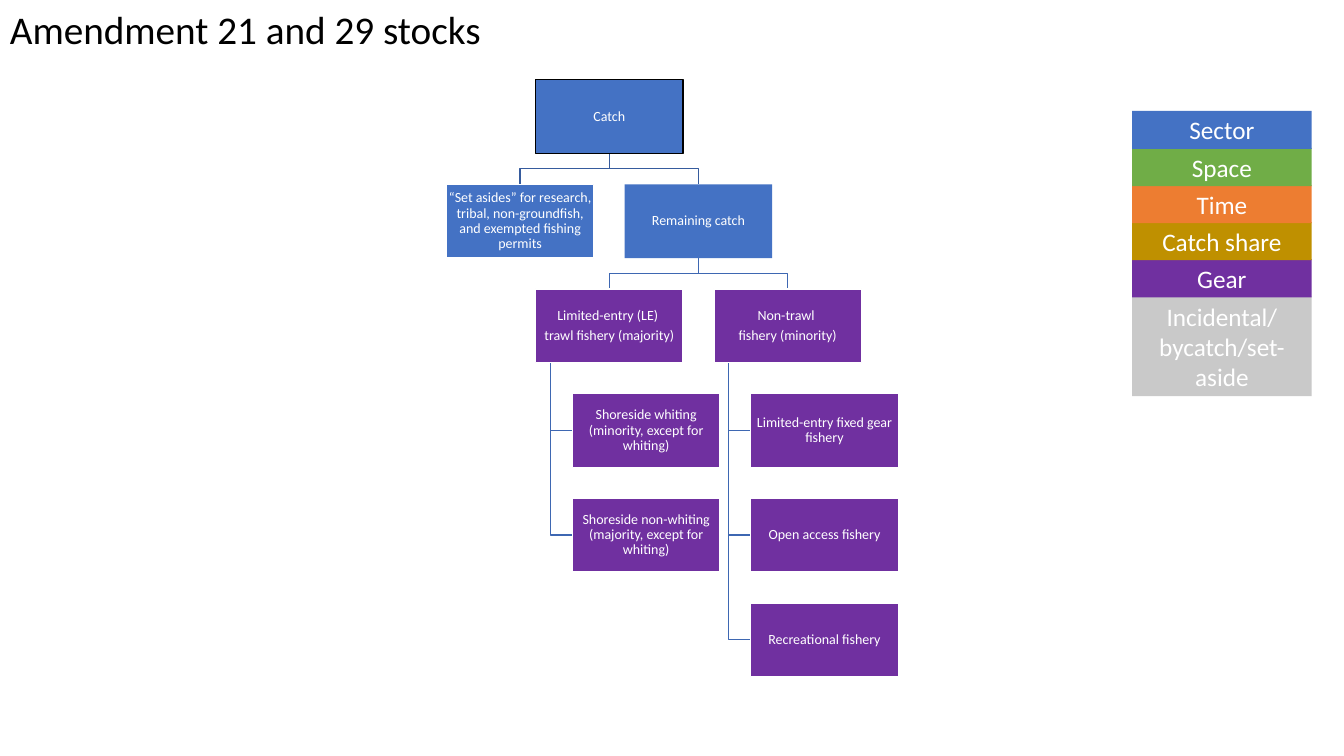
from dataclasses import dataclass
from typing import Optional

import pptx
import pptx.dml.color
import pptx.enum.shapes
import pptx.enum.text
import pptx.util

Pt = pptx.util.Pt


@dataclass(frozen=True)
class Theme:
    font: str = "Calibri"
    title_size: float = 28
    legend_size: float = 18
    box_size: float = 10
    black: str = "000000"
    white: str = "FFFFFF"
    sector: str = "4472C4"
    space: str = "70AD47"
    time: str = "ED7D31"
    share: str = "BF9000"
    gear: str = "7030A0"
    incidental: str = "C9C9C9"
    upper_branch: str = "365B9D"
    lower_branch: str = "3E67B2"


THEME = Theme()

# Tree grid: columns are half a sibling step apart
BOX_WIDTH, BOX_HEIGHT = 105.4, 52.7
TREE_LEFT, TREE_TOP = 318.8, 56.9
COLUMN_STEP, ROW_STEP = 63.7, 74.75
LEAF_INDENT = BOX_WIDTH / 4
TRUNK_INDENT = BOX_WIDTH / 10

# Legend column
LEGEND_LEFT, LEGEND_TOP, LEGEND_WIDTH = 808.6, 79.2, 128.4
LEGEND_STEP, LEGEND_HEIGHT, LEGEND_LAST_HEIGHT = 26.5, 27.2, 71.3


@dataclass(frozen=True)
class Box:
    lines: tuple[str, ...]
    column: int
    row: int
    fill: str = THEME.gear
    outline: Optional[str] = THEME.white
    parent: Optional[str] = None
    leaf: bool = False
    branch: str = THEME.lower_branch

    @property
    def left(self) -> float:
        return TREE_LEFT + self.column * COLUMN_STEP + (LEAF_INDENT if self.leaf else 0)

    @property
    def top(self) -> float:
        return TREE_TOP + self.row * ROW_STEP

    @property
    def center(self) -> float:
        return self.left + BOX_WIDTH / 2


@dataclass(frozen=True)
class LegendEntry:
    lines: tuple[str, ...]
    fill: str
    height: float = LEGEND_HEIGHT


BOXES = {
    "catch": Box(("Catch",), 1, 0, THEME.sector, THEME.black),
    "set_asides": Box(
        ("“Set asides” for research, tribal, non-groundfish, and exempted fishing permits",),
        0, 1, THEME.sector, parent="catch", branch=THEME.upper_branch),
    "remaining": Box(("Remaining catch",), 2, 1, THEME.sector, None,
                     parent="catch", branch=THEME.upper_branch),
    "trawl": Box(("Limited-entry (LE) ", "trawl fishery (majority)"), 1, 2, parent="remaining"),
    "whiting": Box(("Shoreside whiting (minority, except for whiting)",),
                   1, 3, parent="trawl", leaf=True),
    "non_whiting": Box(("Shoreside non-whiting (majority, except for whiting)",),
                       1, 4, parent="trawl", leaf=True),
    "non_trawl": Box(("Non-trawl ", "fishery (minority)"), 3, 2, parent="remaining"),
    "fixed_gear": Box(("Limited-entry fixed gear fishery",), 3, 3, parent="non_trawl", leaf=True),
    "open_access": Box(("Open access fishery",), 3, 4, parent="non_trawl", leaf=True),
    "recreational": Box(("Recreational fishery",), 3, 5, parent="non_trawl", leaf=True),
}

LEGEND = (
    LegendEntry(("Sector",), THEME.sector),
    LegendEntry(("Space",), THEME.space),
    LegendEntry(("Time",), THEME.time),
    LegendEntry(("Catch share",), THEME.share),
    LegendEntry(("Gear",), THEME.gear),
    LegendEntry(("Incidental/", "bycatch/set-aside"), THEME.incidental, LEGEND_LAST_HEIGHT),
)


def rgb(value: str) -> pptx.dml.color.RGBColor:
    return pptx.dml.color.RGBColor.from_string(value)


def write_text(shape, lines: tuple[str, ...], *, size: float, color: str = THEME.white,
               centered: bool = True, wrap: bool = True, inset: Optional[float] = None,
               line_spacing: Optional[float] = None, space_after: Optional[float] = None) -> None:
    frame = shape.text_frame
    frame.word_wrap = wrap
    if centered:
        frame.vertical_anchor = pptx.enum.text.MSO_ANCHOR.MIDDLE
    if inset is not None:
        frame.margin_left = frame.margin_right = Pt(inset)
        frame.margin_top = frame.margin_bottom = Pt(inset)
    for index, line in enumerate(lines):
        paragraph = frame.add_paragraph() if index else frame.paragraphs[0]
        alignment = pptx.enum.text.PP_ALIGN
        paragraph.alignment = alignment.CENTER if centered else alignment.LEFT
        if line_spacing is not None:
            paragraph.line_spacing = line_spacing
        if space_after is not None:
            paragraph.space_after = Pt(space_after)
        run = paragraph.add_run()
        run.text = line
        run.font.name = THEME.font
        run.font.size = Pt(size)
        run.font.color.rgb = rgb(color)


def set_outline(shape, color: Optional[str]) -> None:
    shape.shadow.inherit = False
    if color is None:
        shape.line.fill.background()
    else:
        shape.line.color.rgb = rgb(color)
        shape.line.width = Pt(1)


def add_rectangle(slide, left: float, top: float, width: float, height: float,
                  fill: str, outline: Optional[str] = None):
    shape = slide.shapes.add_shape(pptx.enum.shapes.MSO_SHAPE.RECTANGLE,
                                   Pt(left), Pt(top), Pt(width), Pt(height))
    shape.fill.solid()
    shape.fill.fore_color.rgb = rgb(fill)
    set_outline(shape, outline)
    return shape


def add_branch(slide, parent: Box, child: Box) -> None:
    start = parent.top + BOX_HEIGHT
    if child.leaf:
        trunk, middle = parent.left + TRUNK_INDENT, child.top + BOX_HEIGHT / 2
        points = [(trunk, start), (trunk, middle), (child.left, middle)]
    else:
        middle = (start + child.top) / 2
        points = [(parent.center, start), (parent.center, middle),
                  (child.center, middle), (child.center, child.top)]
    first, *rest = [(Pt(x), Pt(y)) for x, y in points]
    builder = slide.shapes.build_freeform(*first)
    builder.add_line_segments(rest, close=False)
    shape = builder.convert_to_shape()
    shape.fill.background()
    set_outline(shape, child.branch)


def add_tree(slide) -> None:
    # Branches lie behind the boxes
    for box in BOXES.values():
        if box.parent:
            add_branch(slide, BOXES[box.parent], box)
    for box in BOXES.values():
        shape = add_rectangle(slide, box.left, box.top, BOX_WIDTH, BOX_HEIGHT,
                              box.fill, box.outline)
        write_text(shape, box.lines, size=THEME.box_size, inset=0.5,
                   line_spacing=0.9, space_after=3.5)


def add_legend(slide) -> None:
    # Each entry overlaps the one below it
    for index, entry in reversed(list(enumerate(LEGEND))):
        shape = add_rectangle(slide, LEGEND_LEFT, LEGEND_TOP + index * LEGEND_STEP,
                              LEGEND_WIDTH, entry.height, entry.fill)
        write_text(shape, entry.lines, size=THEME.legend_size)


def main() -> None:
    presentation = pptx.Presentation()
    presentation.slide_width, presentation.slide_height = Pt(960), Pt(540)
    slide = presentation.slides.add_slide(presentation.slide_layouts[6])

    add_tree(slide)

    # Title
    title = slide.shapes.add_textbox(Pt(0), Pt(0), Pt(355), Pt(41))
    write_text(title, ("Amendment 21 and 29 stocks",), size=THEME.title_size,
               color=THEME.black, centered=False, wrap=False)
    title.text_frame.auto_size = pptx.enum.text.MSO_AUTO_SIZE.SHAPE_TO_FIT_TEXT

    add_legend(slide)
    presentation.save("out.pptx")


if __name__ == "__main__":
    main()
